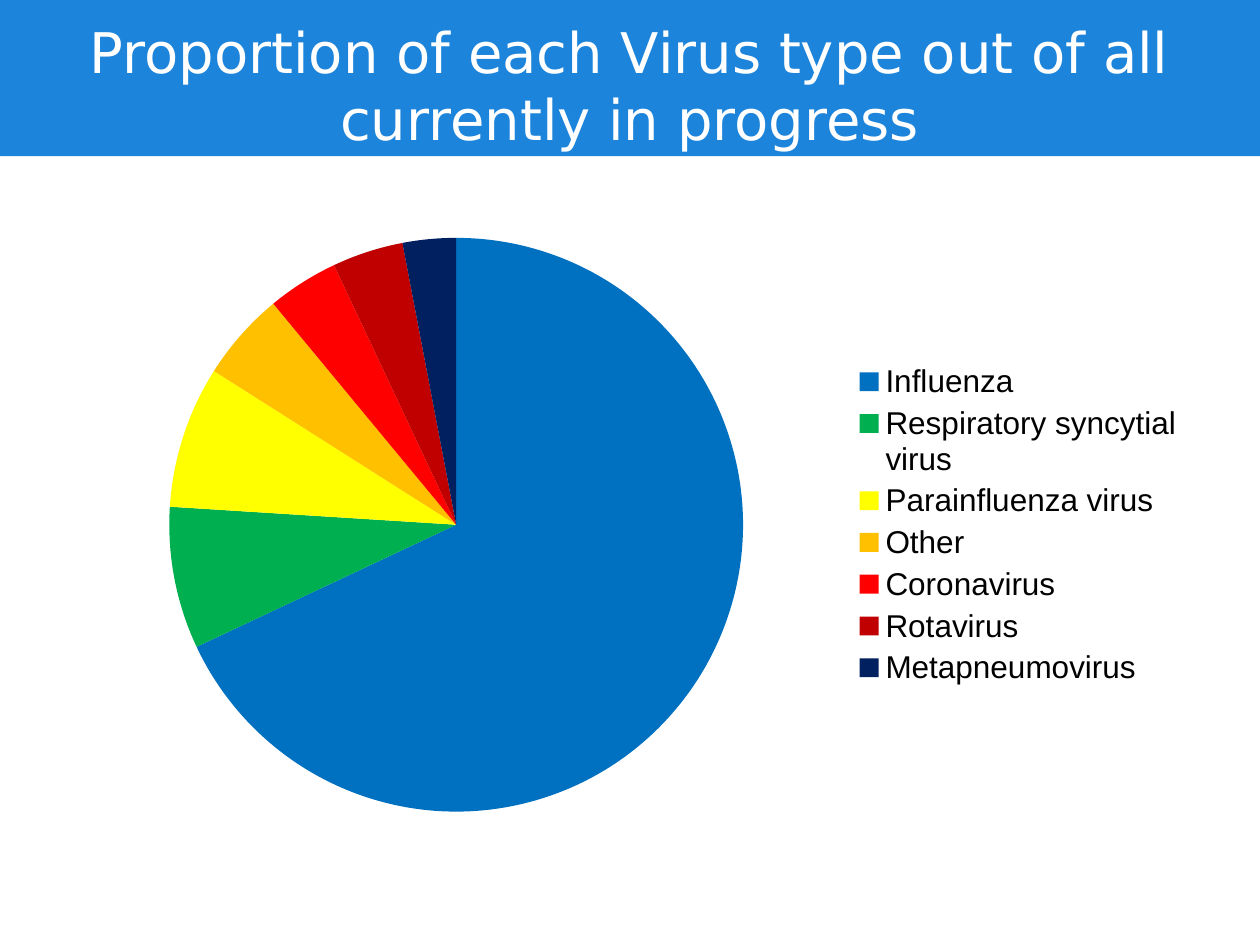
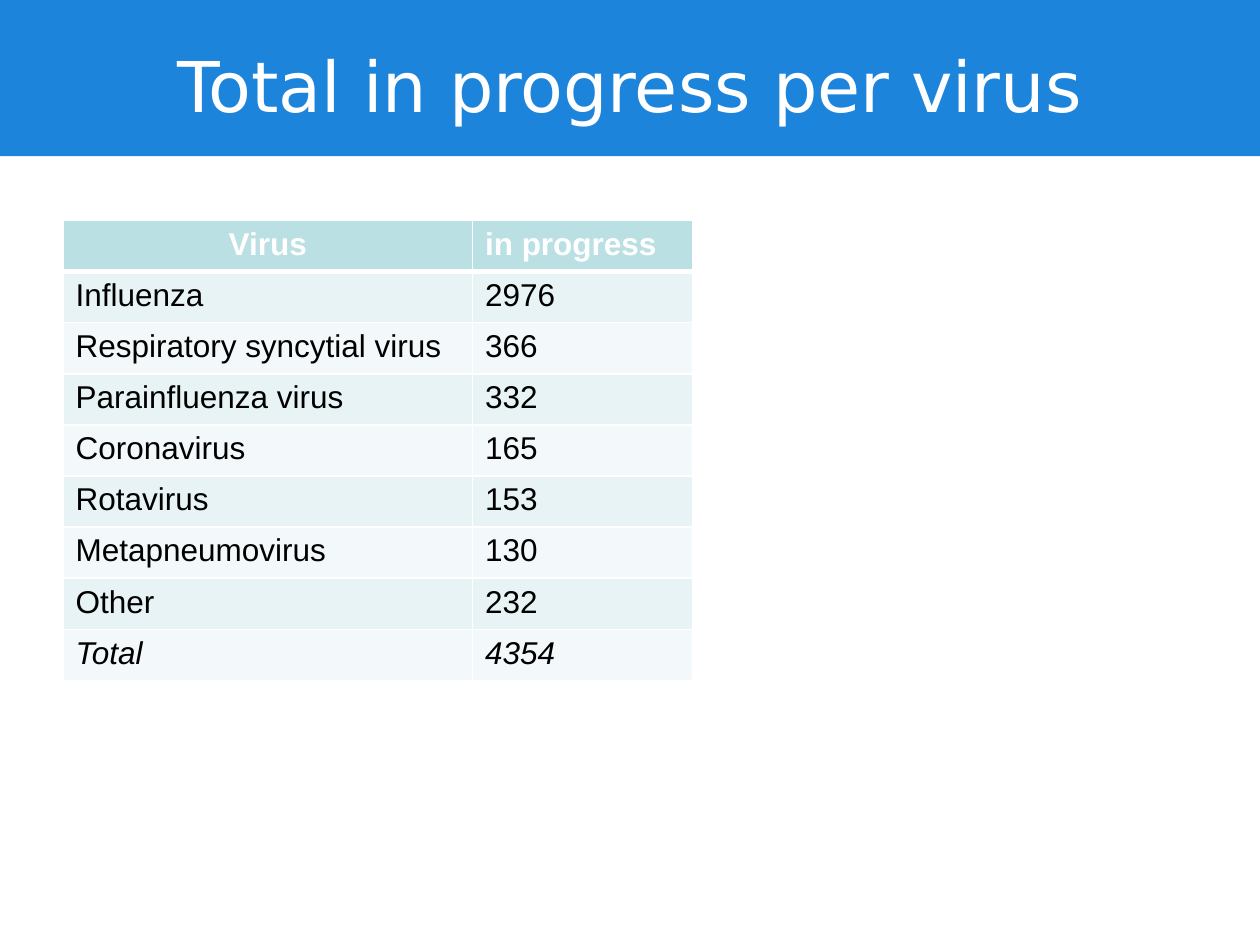
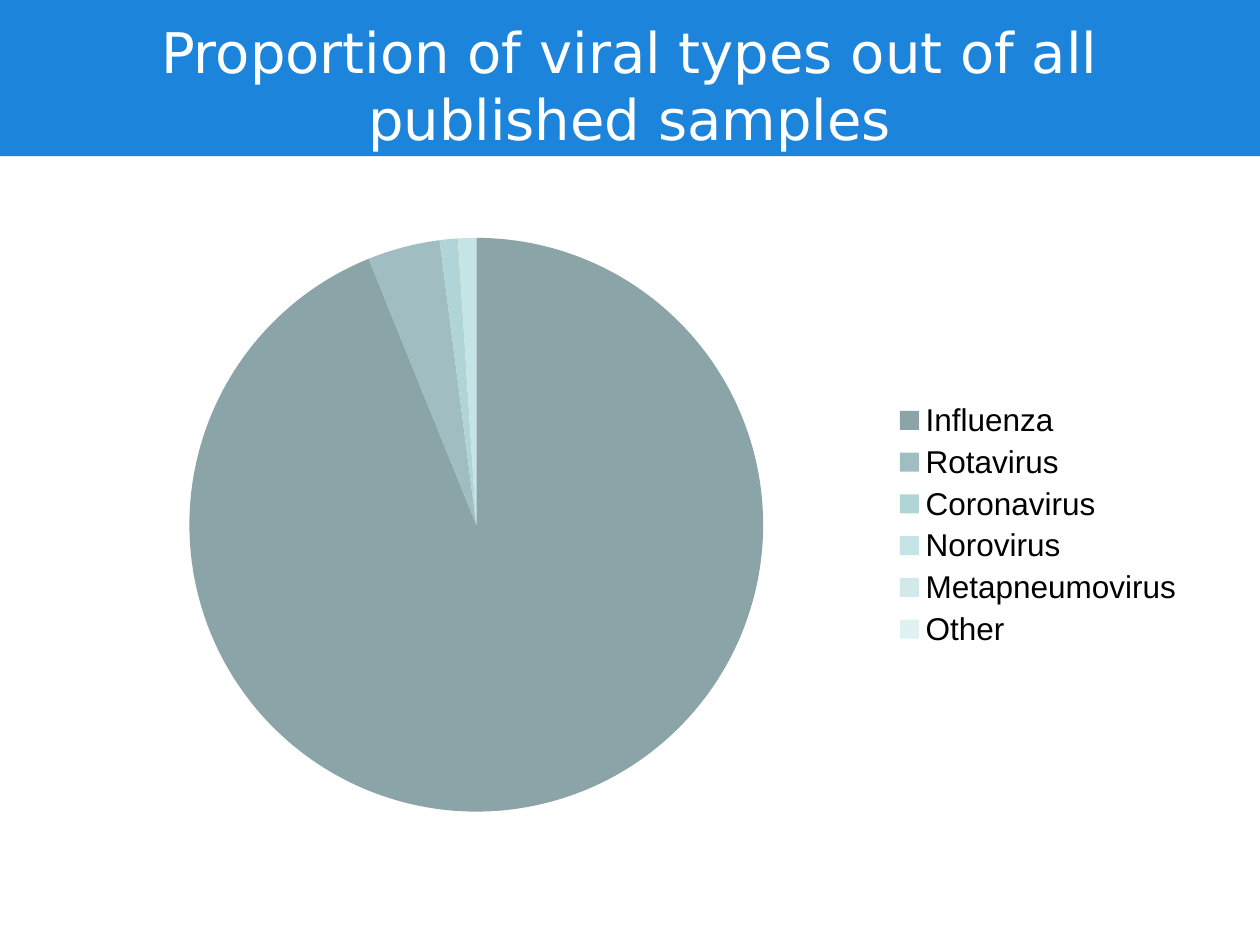
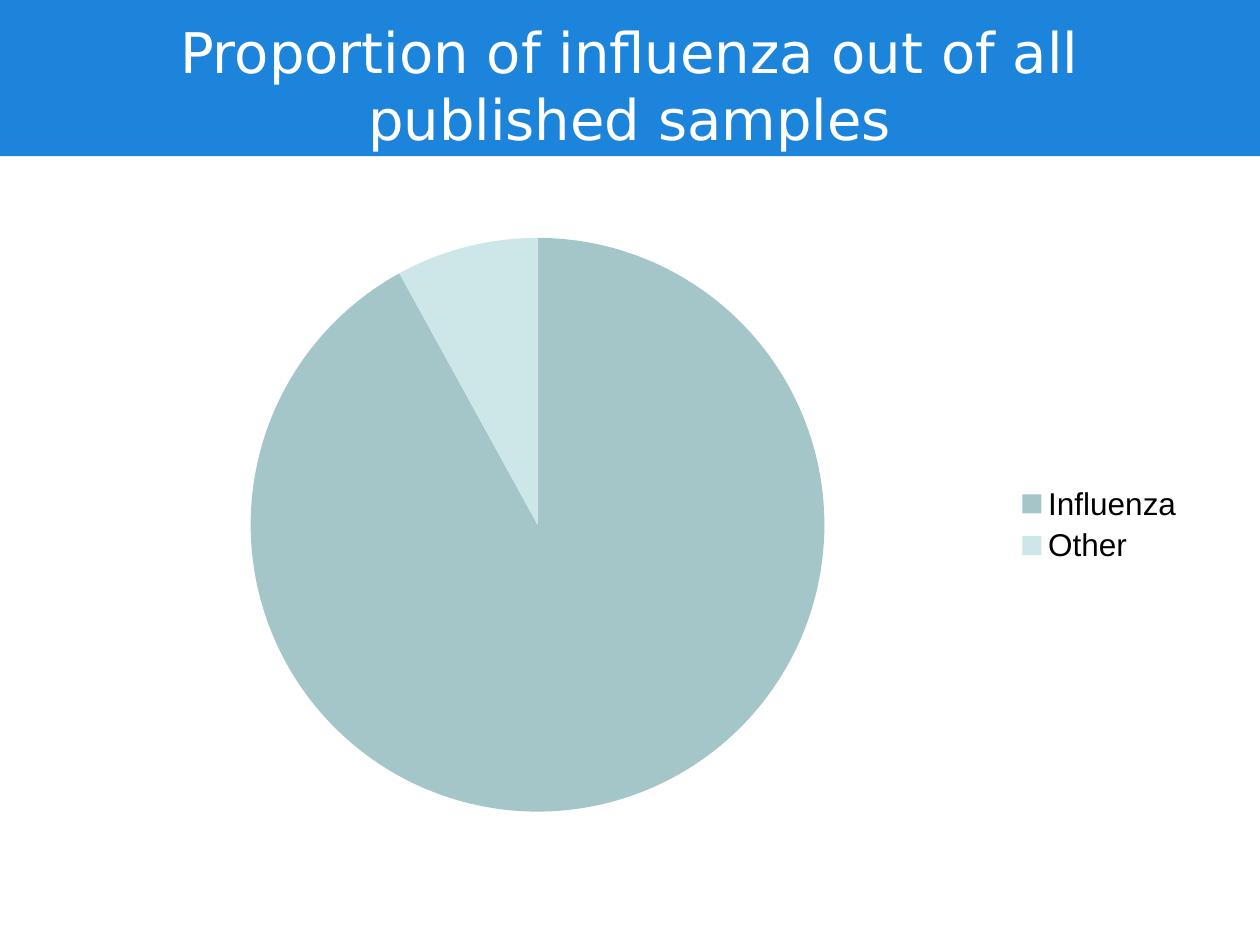
from dataclasses import dataclass

from lxml import etree
from pptx import Presentation
from pptx.chart import data
from pptx.dml.color import RGBColor
from pptx.enum import chart as charts, shapes, text
from pptx.oxml import ns
from pptx.util import Inches, Pt


@dataclass(frozen=True)
class Theme:
    band: str = "1C84DA"
    light: str = "FFFFFF"
    dark: str = "000000"
    header: str = "BBE0E3"
    rows: tuple = ("E7F3F4", "F3F9FA")
    vivid: tuple = ("0070C0", "00B050", "FFFF00", "FFC000",
                    "FF0000", "C00000", "002060")
    teal: tuple = ("8AA4A7", "A0BEC1", "B1D5D7", "C5E4E6", "D1E9EB", "E0F1F2")
    duo: tuple = ("A5C6C9", "CDE7E8")
    head: str = "DejaVu Sans"
    body: str = "Arial"
    large: int = 40
    title: int = 32
    small: int = 18


class Deck:
    def __init__(self, theme):
        self.theme = theme
        self.show = Presentation()
        self.show.slide_width = Inches(10)
        self.show.slide_height = Inches(7.5)
        self.slide = None

    def font(self, font, name, size, color):
        font.name = name
        font.size = Pt(size)
        font.color.rgb = RGBColor.from_string(color)

    def paint(self, fill, color):
        fill.solid()
        fill.fore_color.rgb = RGBColor.from_string(color)

    def band(self):
        band = self.slide.shapes.add_shape(
            shapes.MSO_SHAPE.RECTANGLE, 0, 0, self.show.slide_width, Inches(1.24))
        band.shadow.inherit = False
        self.paint(band.fill, self.theme.band)
        band.line.fill.background()
        self.slide.shapes.element.insert(2, band.element)

    def page(self, words, size=None):
        self.slide = self.show.slides.add_slide(self.show.slide_layouts[5])
        self.band()
        title = self.slide.shapes.title
        title.left, title.top = Inches(0.5), Inches(0.17)
        title.width, title.height = Inches(9), Inches(1)
        frame = title.text_frame
        frame.text = words
        frame.word_wrap = True
        frame.auto_size = text.MSO_AUTO_SIZE.NONE
        frame.vertical_anchor = text.MSO_ANCHOR.MIDDLE
        para = frame.paragraphs[0]
        para.alignment = text.PP_ALIGN.CENTER
        self.font(para.font, self.theme.head, size or self.theme.title,
                  self.theme.light)

    def pie(self, parts, colors):
        source = data.CategoryChartData()
        source.categories = list(parts)
        source.add_series("Series 1", list(parts.values()))
        chart = self.slide.shapes.add_chart(
            charts.XL_CHART_TYPE.PIE, Inches(0.5), Inches(1.75),
            Inches(9), Inches(4.83), source).chart
        chart.has_title = False
        chart.has_legend = True
        chart.legend.position = charts.XL_LEGEND_POSITION.RIGHT
        chart.legend.include_in_layout = False
        self.font(chart.font, self.theme.body, self.theme.small, self.theme.dark)
        plot = chart.plots[0]
        plot.vary_by_categories = True
        for place, color in enumerate(colors):
            look = plot.series[0].points[place].format
            self.paint(look.fill, color)
            look.line.fill.background()

    def edges(self, cell, base):
        props = cell._tc.get_or_add_tcPr()
        for place, side in enumerate("LRTB"):
            width = base if side == "B" else 1
            line = etree.Element(ns.qn(f"a:ln{side}"), w=str(Pt(width)))
            fill = etree.SubElement(line, ns.qn("a:solidFill"))
            etree.SubElement(fill, ns.qn("a:srgbClr"), val=self.theme.light)
            props.insert(place, line)

    def table(self, rows, widths):
        theme = self.theme
        table = self.slide.shapes.add_table(
            len(rows), len(widths), Inches(0.5), Inches(1.75),
            Inches(sum(widths)), Inches(3.65)).table
        for column, width in zip(table.columns, widths):
            column.width = Inches(width)
        for r, row in enumerate(rows):
            top, last = r == 0, r == len(rows) - 1
            for c, words in enumerate(row):
                cell = table.cell(r, c)
                cell.text = str(words)
                self.paint(cell.fill, theme.header if top else theme.rows[(r - 1) % 2])
                self.edges(cell, 3 if top else 1)
                para = cell.text_frame.paragraphs[0]
                self.font(para.font, theme.body, theme.small,
                          theme.light if top else theme.dark)
                para.font.bold = top
                para.font.italic = last
        table.cell(0, 0).text_frame.paragraphs[0].alignment = text.PP_ALIGN.CENTER


def main():
    theme = Theme()
    deck = Deck(theme)

    deck.page("Proportion of each Virus type out of all currently in progress")
    deck.pie({"Influenza": 68, "Respiratory syncytial virus": 8,
              "Parainfluenza virus": 8, "Other": 5, "Coronavirus": 4,
              "Rotavirus": 4, "Metapneumovirus": 3}, theme.vivid)

    counts = {"Influenza": 2976, "Respiratory syncytial virus": 366,
              "Parainfluenza virus": 332, "Coronavirus": 165,
              "Rotavirus": 153, "Metapneumovirus": 130, "Other": 232}
    deck.page("Total in progress per virus", theme.large)
    deck.table([("Virus", "in progress"), *counts.items(),
                ("Total", sum(counts.values()))], (3.25, 1.75))

    deck.page("Proportion of viral types out of all published samples")
    deck.pie({"Influenza": 92, "Rotavirus": 4, "Coronavirus": 1,
              "Norovirus": 1, "Metapneumovirus": 0, "Other": 0}, theme.teal)

    deck.page("Proportion of influenza out of all published samples")
    deck.pie({"Influenza": 92, "Other": 8}, theme.duo)

    deck.show.save("out.pptx")


if __name__ == "__main__":
    main()
